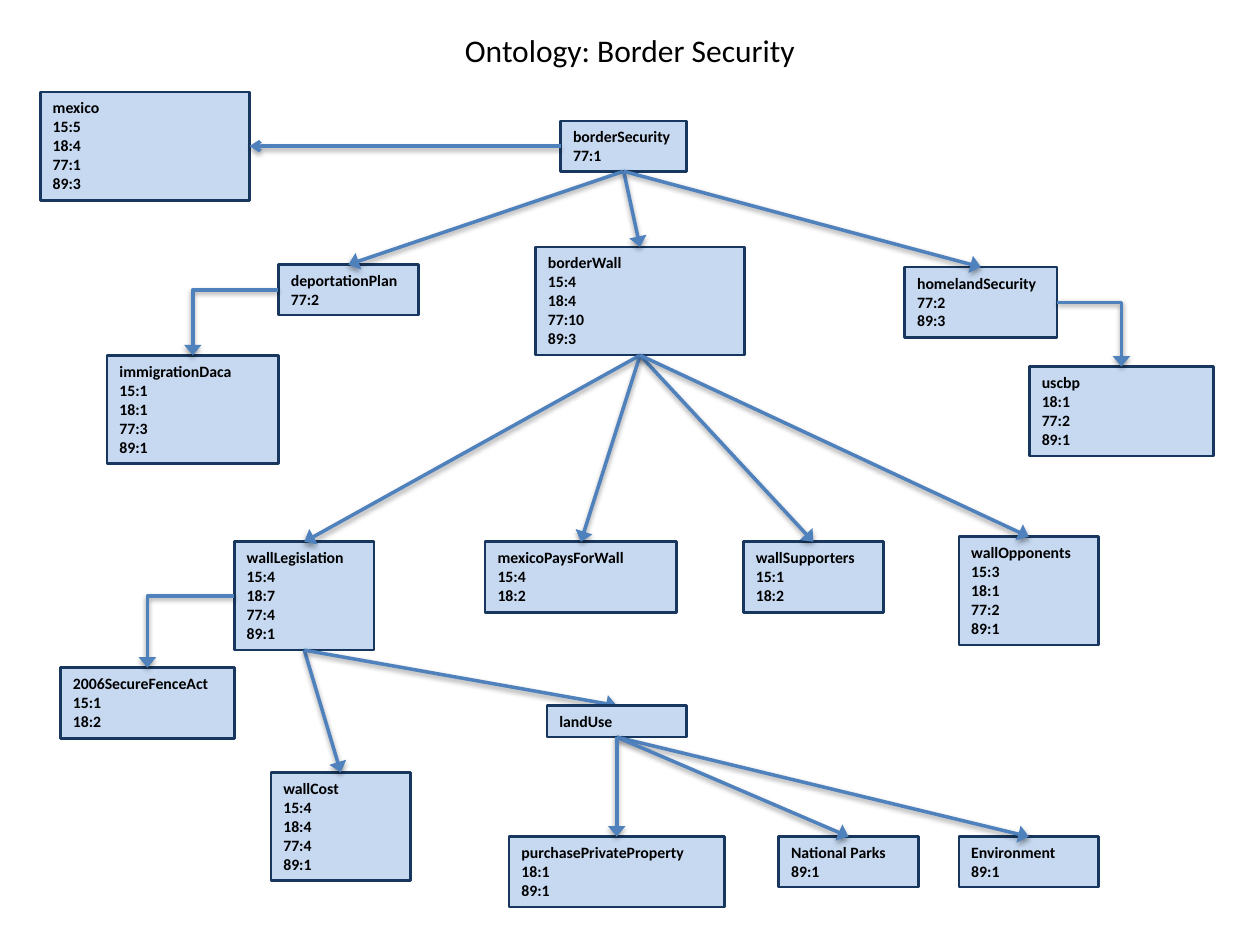
from dataclasses import dataclass
from lxml.etree import SubElement as Sub
from pptx import Presentation
from pptx.dml.color import RGBColor as Rgb
from pptx.enum.shapes import MSO_CONNECTOR as Conn, MSO_SHAPE as Form
from pptx.enum.text import MSO_ANCHOR as Anchor, MSO_AUTO_SIZE as Fit, PP_ALIGN as Align
from pptx.oxml.ns import qn
from pptx.shapes.autoshape import Shape
from pptx.slide import Slide
from pptx.text.text import TextFrame
from pptx.util import Inches, Pt

TOP, LEFT, BASE, RIGHT = range(4)


@dataclass(frozen=True)
class Theme:
    font: str = "Calibri"
    ink: Rgb = Rgb(0, 0, 0)
    fill: Rgb = Rgb(0xC6, 0xD9, 0xF1)
    edge: Rgb = Rgb(0x17, 0x37, 0x5E)
    line: Rgb = Rgb(0x4F, 0x81, 0xBD)
    head: Pt = Pt(18)
    body: Pt = Pt(9)
    rim: Pt = Pt(1.5)
    stroke: Pt = Pt(2)


@dataclass(frozen=True)
class Node:
    name: str
    left: float
    top: float
    width: float = 1.11
    counts: str = ""
    wrap: bool = True

    @property
    def lines(self) -> list[str]:
        return [self.name, *self.counts.split()]

    @property
    def height(self) -> float:
        return round(0.25 + 0.153 * (len(self.lines) - 1), 2)


@dataclass(frozen=True)
class Link:
    start: str
    end: str
    out: int = BASE
    into: int = TOP
    bent: bool = False
    tip: str = "triangle"
    span: str = "lg"


THEME = Theme()

NODES = [
    Node("borderSecurity", 4.45, 0.96, 1, "77:1", False),
    Node("deportationPlan", 2.21, 2.1, counts="77:2"),
    Node("mexico", 0.32, 0.73, 1.66, "15:5 18:4 77:1 89:3"),
    Node("borderWall", 4.25, 1.96, 1.66, "15:4 18:4 77:10 89:3"),
    Node("homelandSecurity", 7.18, 2.12, 1.21, "77:2 89:3"),
    Node("uscbp", 8.17, 2.91, 1.46, "18:1 77:2 89:1"),
    Node("immigrationDaca", 0.85, 2.82, 1.36, "15:1 18:1 77:3 89:1"),
    Node("wallLegislation", 1.86, 4.3, counts="15:4 18:7 77:4 89:1"),
    Node("2006SecureFenceAct", 0.48, 5.3, 1.38, "15:1 18:2"),
    Node("mexicoPaysForWall", 3.85, 4.3, 1.52, "15:4 18:2"),
    Node("wallSupporters", 5.9, 4.3, counts="15:1 18:2"),
    Node("wallOpponents", 7.61, 4.26, counts="15:3 18:1 77:2 89:1"),
    Node("wallCost", 2.15, 6.13, counts="15:4 18:4 77:4 89:1"),
    Node("purchasePrivateProperty", 4.04, 6.64, 1.71, "18:1 89:1"),
    Node("National Parks", 6.18, 6.64, counts="89:1"),
    Node("landUse", 4.34, 5.6),
    Node("Environment", 7.61, 6.64, counts="89:1"),
]

UPPER = [
    Link("borderSecurity", "mexico", LEFT, RIGHT, tip="arrow", span="med"),
    Link("borderSecurity", "deportationPlan"),
    Link("borderSecurity", "borderWall"),
    Link("borderSecurity", "homelandSecurity"),
    Link("homelandSecurity", "uscbp", RIGHT, bent=True),
    Link("deportationPlan", "immigrationDaca", LEFT, bent=True),
    Link("borderWall", "wallLegislation"),
    Link("borderWall", "mexicoPaysForWall"),
    Link("borderWall", "wallSupporters"),
    Link("borderWall", "wallOpponents"),
    Link("wallLegislation", "2006SecureFenceAct", LEFT, bent=True),
    Link("wallLegislation", "wallCost"),
    Link("wallLegislation", "landUse"),
]
LOWER = [
    Link("landUse", "Environment"),
    Link("landUse", "National Parks"),
    Link("landUse", "purchasePrivateProperty"),
]


def write(frame: TextFrame, lines: list[str], size: Pt, bold: bool, align: Align) -> None:
    frame.auto_size = Fit.SHAPE_TO_FIT_TEXT
    frame.vertical_anchor = Anchor.TOP
    for i, text in enumerate(lines):
        para = frame.add_paragraph() if i else frame.paragraphs[0]
        para.alignment = align
        run = para.add_run()
        run.text = text
        font = run.font
        font.name, font.size, font.bold = THEME.font, size, bold
        font.color.rgb = THEME.ink


def draw_node(slide: Slide, node: Node) -> Shape:
    box = slide.shapes.add_shape(
        Form.RECTANGLE, Inches(node.left), Inches(node.top),
        Inches(node.width), Inches(node.height))
    box.shadow.inherit = False
    box.fill.solid()
    box.fill.fore_color.rgb = THEME.fill
    box.line.color.rgb = THEME.edge
    box.line.width = THEME.rim
    box.text_frame.word_wrap = node.wrap
    write(box.text_frame, node.lines, THEME.body, True, Align.LEFT)
    return box


def draw_link(slide: Slide, link: Link, boxes: dict[str, Shape]) -> None:
    kind = Conn.ELBOW if link.bent else Conn.STRAIGHT
    wire = slide.shapes.add_connector(kind, 0, 0, 0, 0)
    wire.begin_connect(boxes[link.start], link.out)
    wire.end_connect(boxes[link.end], link.into)
    wire.line.color.rgb = THEME.line
    wire.line.width = THEME.stroke
    props = wire.element.spPr
    if link.bent:
        props.find(qn("a:prstGeom")).set("prst", "bentConnector2")
    Sub(props.find(qn("a:ln")), qn("a:tailEnd"), type=link.tip, w=link.span, len="med")
    glow = Sub(props, qn("a:effectLst"))
    shade = Sub(glow, qn("a:outerShdw"), blurRad=str(Pt(3.1)), dist=str(Pt(1.6)),
                dir="5400000", rotWithShape="0")
    tint = Sub(shade, qn("a:srgbClr"), val=str(THEME.ink))
    Sub(tint, qn("a:alpha"), val="38000")


def main() -> None:
    deck = Presentation()
    deck.slide_width, deck.slide_height = Inches(10), Inches(7.5)
    slide = deck.slides.add_slide(deck.slide_layouts[6])
    boxes = {node.name: draw_node(slide, node) for node in NODES}
    for link in UPPER:
        draw_link(slide, link, boxes)
    slide.shapes.element.append(boxes["landUse"].element)
    for link in LOWER:
        draw_link(slide, link, boxes)
    title = slide.shapes.add_textbox(Inches(3.57), Inches(0.2), Inches(2.86), Inches(0.4))
    title.text_frame.word_wrap = False
    write(title.text_frame, ["Ontology: Border Security"], THEME.head, False, Align.CENTER)
    deck.save("out.pptx")


if __name__ == "__main__":
    main()
